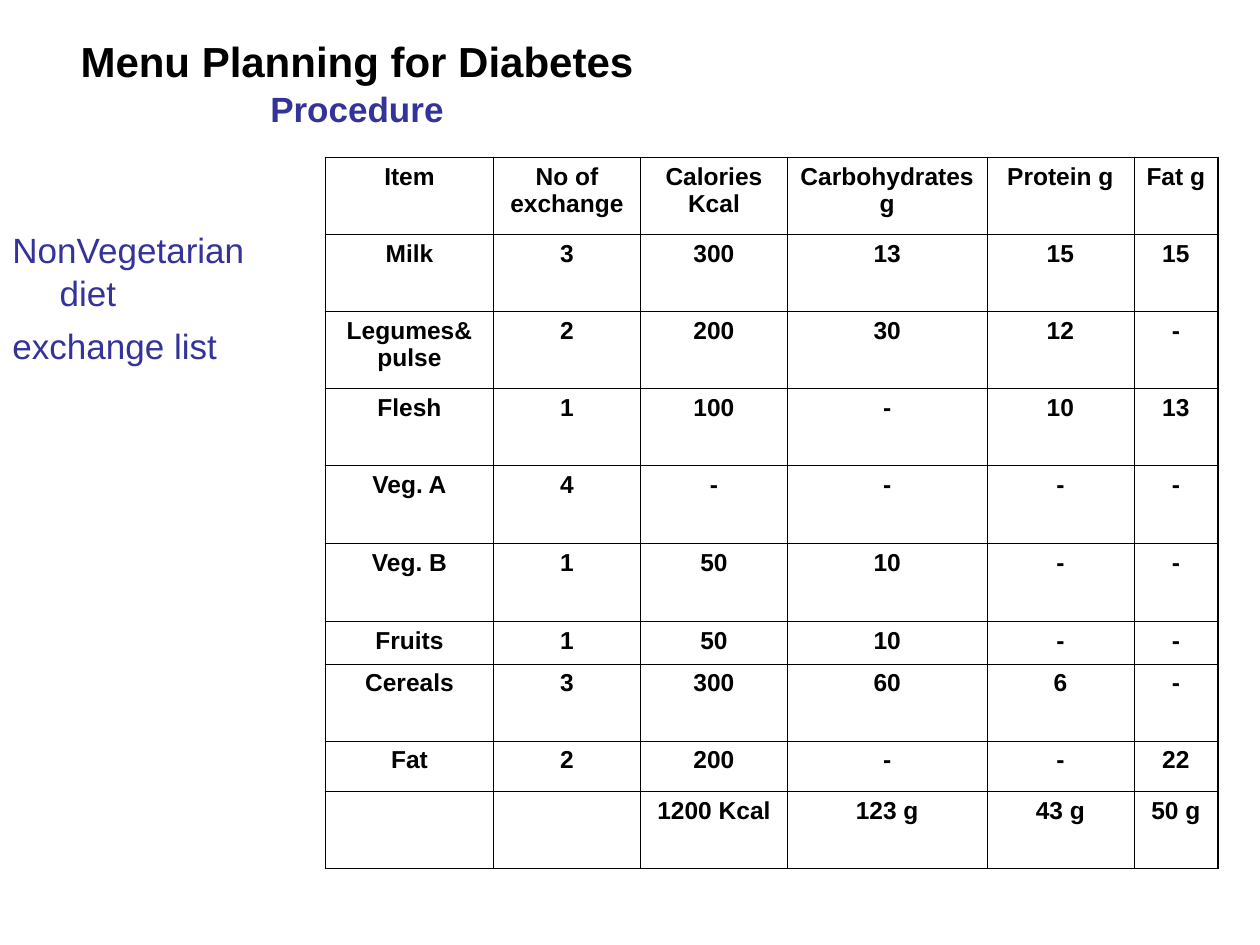
"""Build the diabetes menu planning slide with its exchange table."""
from lxml.etree import SubElement
from pptx import Presentation
from pptx.dml.color import RGBColor
from pptx.enum.text import MSO_ANCHOR, PP_ALIGN
from pptx.oxml.ns import qn
from pptx.util import Pt

COLORS = {"text": "000000", "accent": "333399", "border": "000000", "background": "FFFFFF"}
THIN, THICK = 0.45, 1.08
COLUMN_WIDTHS = [96, 84, 84, 114, 84, 48]
ROW_HEIGHTS = [44, 44, 44, 44, 44.6, 44.6, 24.3, 44, 28.8, 44]
ROWS = [
    ["Item", "No of exchange", "Calories Kcal", "Carbohydrates g", "Protein g", "Fat g"],
    ["Milk", "3", "300", "13", "15", "15"],
    ["Legumes& pulse", "2", "200", "30", "12", "-"],
    ["Flesh", "1", "100", "-", "10", "13"],
    ["Veg. A", "4", "-", "-", "-", "-"],
    ["Veg. B", "1", "50", "10", "-", "-"],
    ["Fruits", "1", "50", "10", "-", "-"],
    ["Cereals", "3", "300", "60", "6", "-"],
    ["Fat", "2", "200", "-", "-", "22"],
    ["", "", "1200 Kcal", "123 g", "43 g", "50 g"],
]


def style(font, size, color, bold=False):
    font.name = "Arial"
    font.size = Pt(size)
    font.bold = bold
    font.color.rgb = RGBColor.from_string(COLORS[color])


def set_borders(cell, widths):
    tc_pr = cell._tc.get_or_add_tcPr()
    for position, (side, width) in enumerate(widths.items()):
        ln = SubElement(tc_pr, qn(f"a:ln{side}"), w=str(Pt(width)))
        fill = SubElement(ln, qn("a:solidFill"))
        SubElement(fill, qn("a:srgbClr"), val=COLORS["border"])
        tc_pr.insert(position, ln)


prs = Presentation()
prs.slide_width, prs.slide_height = Pt(720), Pt(540)
s = prs.slides.add_slide(prs.slide_layouts[6])
s.background.fill.solid()
s.background.fill.fore_color.rgb = RGBColor.from_string(COLORS["background"])

tf = s.shapes.add_textbox(Pt(36), Pt(21.6), Pt(336), Pt(50.4)).text_frame
tf.word_wrap = True
tf.vertical_anchor = MSO_ANCHOR.MIDDLE
p = tf.paragraphs[0]
p.alignment = PP_ALIGN.CENTER
p.line_spacing = 1.04
for text, size, color in [("Menu Planning for Diabetes ", 24, "text"), ("Procedure", 20, "accent")]:
    r = p.add_run()
    r.text = text
    style(r.font, size, color, bold=True)

tf = s.shapes.add_textbox(Pt(0), Pt(126), Pt(156), Pt(108)).text_frame
tf.word_wrap = True
tf.text = "NonVegetarian diet\nexchange list"
for p in tf.paragraphs:
    p.line_spacing = 1.04
    p_pr = p._p.get_or_add_pPr()
    p_pr.set("marL", str(Pt(27)))
    p_pr.set("indent", str(Pt(-27)))
    style(p.runs[0].font, 20, "accent")
tf.paragraphs[1].space_before = Pt(5)

table = s.shapes.add_table(
    len(ROWS), len(COLUMN_WIDTHS), Pt(186), Pt(90), Pt(sum(COLUMN_WIDTHS)), Pt(sum(ROW_HEIGHTS))
).table
table.first_row = table.horz_banding = False
for column, width in zip(table.columns, COLUMN_WIDTHS):
    column.width = Pt(width)
for row, height in zip(table.rows, ROW_HEIGHTS):
    row.height = Pt(height)

last_row, last_column = len(ROWS) - 1, len(COLUMN_WIDTHS) - 1
for i, values in enumerate(ROWS):
    for j, value in enumerate(values):
        cell = table.cell(i, j)
        cell.fill.background()
        set_borders(cell, {
            "L": THICK if j == 0 else THIN,
            "R": THICK if j == last_column else THIN,
            "T": THICK if i == 0 else THIN,
            "B": THICK if i == last_row else THIN,
        })
        if value:
            cell.text_frame.text = value
            p = cell.text_frame.paragraphs[0]
            p.alignment = PP_ALIGN.CENTER
            p.line_spacing = 0.98
            style(p.runs[0].font, 14, "text", bold=True)

prs.save("out.pptx")
